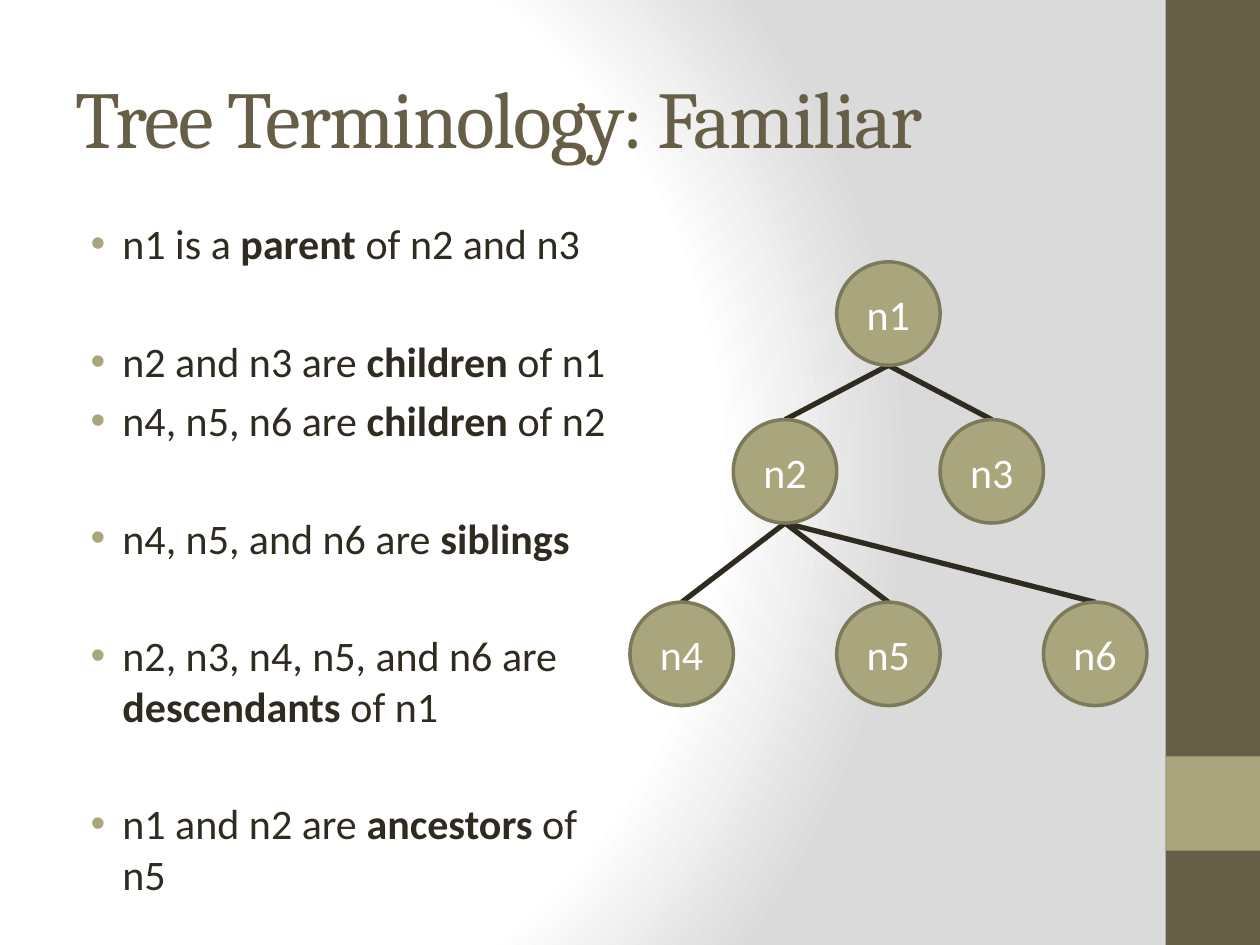
import pptx
import pptx.dml.color
import pptx.enum.shapes
import pptx.enum.text
import pptx.oxml
import pptx.oxml.ns
import pptx.util
from dataclasses import dataclass
from lxml import etree

Cm, Pt = pptx.util.Cm, pptx.util.Pt
Shape = pptx.enum.shapes.MSO_SHAPE
Align, Anchor = pptx.enum.text.PP_ALIGN, pptx.enum.text.MSO_ANCHOR
qn = pptx.oxml.ns.qn


@dataclass(frozen=True)
class Theme:
    """Colours, fonts and type sizes of the slide."""
    ink: str = "2F2B20"
    brown: str = "675E47"
    olive: str = "A9A57C"
    olive_edge: str = "7D7A5C"
    white: str = "FFFFFF"
    grey: str = "DADADA"
    heading_font: str = "Cambria"
    body_font: str = "Calibri"
    title_size: float = 46
    body_size: float = 24
    bullet_gap: float = 4.8
    group_gap: float = 38.4


THEME = Theme()

# (starts a new group, text before, bold term, text after)
FACTS = [
    (False, "n1 is a ", "parent", " of n2 and n3"),
    (True, "n2 and n3 are ", "children", " of n1"),
    (False, "n4, n5, n6 are ", "children", " of n2"),
    (True, "n4, n5, and n6 are ", "siblings", ""),
    (True, "n2, n3, n4, n5, and n6 are ", "descendants", " of n1"),
    (True, "n1 and n2 are ", "ancestors", " of n5"),
]

# node: (column, level)
NODES = {"n1": (2, 0), "n2": (1, 1), "n3": (3, 1),
         "n4": (0, 2), "n5": (2, 2), "n6": (4, 2)}
CHILDREN = {"n1": ["n2", "n3"], "n2": ["n4", "n5", "n6"]}
LEVEL_TOPS = [0, 3.18, 6.86]
COLUMNS = 5


def rgb(value):
    """Turn a hex string into a colour."""
    return pptx.dml.color.RGBColor.from_string(value)


def style(font, name, size, colour):
    """Set family, size and colour of a font."""
    font.name, font.size = name, Pt(size)
    font.color.rgb = rgb(colour)


def add_solid(slide, kind, box, fill, edge=None):
    """Add a flat preset shape in a box given in centimetres."""
    solid = slide.shapes.add_shape(kind, *map(Cm, box))
    solid.shadow.inherit = False
    solid.fill.solid()
    solid.fill.fore_color.rgb = rgb(fill)
    if edge:
        solid.line.color.rgb = rgb(edge)
        solid.line.width = Pt(2)
    else:
        solid.line.fill.background()
    return solid


def add_text_frame(slide, box):
    """Add a wrapping text box and return its frame."""
    frame = slide.shapes.add_textbox(*map(Cm, box)).text_frame
    frame.word_wrap = True
    return frame


def paint_background(slide):
    """Give the slide a circular gradient from white to grey."""
    stops = "".join(
        f'<a:gs pos="{pos}"><a:srgbClr val="{colour}"/></a:gs>'
        for pos, colour in ((0, THEME.white), (75000, THEME.white), (100000, THEME.grey)))
    background = pptx.oxml.parse_xml(
        f'<p:bg {pptx.oxml.ns.nsdecls("p", "a")}><p:bgPr><a:gradFill rotWithShape="1">'
        f'<a:gsLst>{stops}</a:gsLst><a:path path="circle">'
        '<a:fillToRect l="20000" t="50000" r="100000" b="50000"/></a:path>'
        '</a:gradFill><a:effectLst/></p:bgPr></p:bg>')
    slide.element.cSld.insert(0, background)


def add_side_band(slide, box):
    """Draw the dark band with its square accent."""
    left, top, width, height = box
    add_solid(slide, Shape.RECTANGLE, box, THEME.brown)
    accent_top = top + height - 2 * width
    add_solid(slide, Shape.RECTANGLE, (left, accent_top, width, width), THEME.olive)


def add_title(slide, box, wording):
    """Write the slide title."""
    frame = add_text_frame(slide, box)
    frame.vertical_anchor = Anchor.MIDDLE
    heading = frame.paragraphs[0]
    style(heading.font, THEME.heading_font, THEME.title_size, THEME.brown)
    run = heading.add_run()
    run.text = wording
    run._r.get_or_add_rPr().set("spc", "-100")


def add_bullet(paragraph):
    """Give a paragraph a hanging olive bullet."""
    properties = paragraph._p.get_or_add_pPr()
    properties.set("marL", str(Cm(0.95)))
    properties.set("indent", str(-Cm(0.64)))
    bullet_colour = etree.SubElement(properties, qn("a:buClr"))
    etree.SubElement(bullet_colour, qn("a:srgbClr"), val=THEME.olive)
    etree.SubElement(properties, qn("a:buFont"), typeface="Arial")
    etree.SubElement(properties, qn("a:buChar"), char="•")


def add_facts(slide, box, facts):
    """List the terms, with a wide gap before each group."""
    frame = add_text_frame(slide, box)
    for index, (new_group, before, term, after) in enumerate(facts):
        fact = frame.add_paragraph() if index else frame.paragraphs[0]
        add_bullet(fact)
        fact.space_before = Pt(THEME.group_gap if new_group else THEME.bullet_gap)
        style(fact.font, THEME.body_font, THEME.body_size, THEME.ink)
        for wording, bold in ((before, False), (term, True), (after, False)):
            if wording:
                run = fact.add_run()
                run.text = wording
                if bold:
                    run.font.bold = True


def add_edge(slide, start, end):
    """Draw a line between two points in centimetres."""
    edge = slide.shapes.add_connector(
        pptx.enum.shapes.MSO_CONNECTOR.STRAIGHT, *map(Cm, start + end))
    edge.line.color.rgb = rgb(THEME.ink)
    edge.line.width = Pt(3)
    etree.SubElement(edge._element.spPr, qn("a:effectLst"))


def add_tree(slide, box):
    """Draw the tree: edges first, then the nodes over them."""
    left, top, width, _ = box
    size = width / COLUMNS
    corners = {name: (left + column * size, top + LEVEL_TOPS[level])
               for name, (column, level) in NODES.items()}
    for parent, children in CHILDREN.items():
        parent_x, parent_y = corners[parent]
        for child in children:
            child_x, child_y = corners[child]
            add_edge(slide, (parent_x + size / 2, parent_y + size),
                     (child_x + size / 2, child_y))
    for name, corner in corners.items():
        node = add_solid(slide, Shape.OVAL, corner + (size, size),
                         THEME.olive, THEME.olive_edge)
        frame = node.text_frame
        frame.margin_left = frame.margin_right = 0
        frame.vertical_anchor = Anchor.MIDDLE
        label = frame.paragraphs[0]
        label.alignment = Align.CENTER
        style(label.font, THEME.body_font, THEME.body_size, THEME.white)
        label.add_run().text = name


def build():
    """Build and save the presentation."""
    deck = pptx.Presentation()
    deck.slide_width, deck.slide_height = Cm(25.4), Cm(19.05)
    slide = deck.slides.add_slide(deck.slide_layouts[6])
    paint_background(slide)
    add_side_band(slide, (23.5, 0, 1.9, 19.05))
    add_title(slide, (1.27, 0.76, 21.16, 3.18), "Tree Terminology: Familiar")
    add_facts(slide, (1.27, 4.27, 11.43, 14.78), FACTS)
    add_tree(slide, (12.7, 5.28, 10.42, 8.94))
    deck.save("out.pptx")


build()
